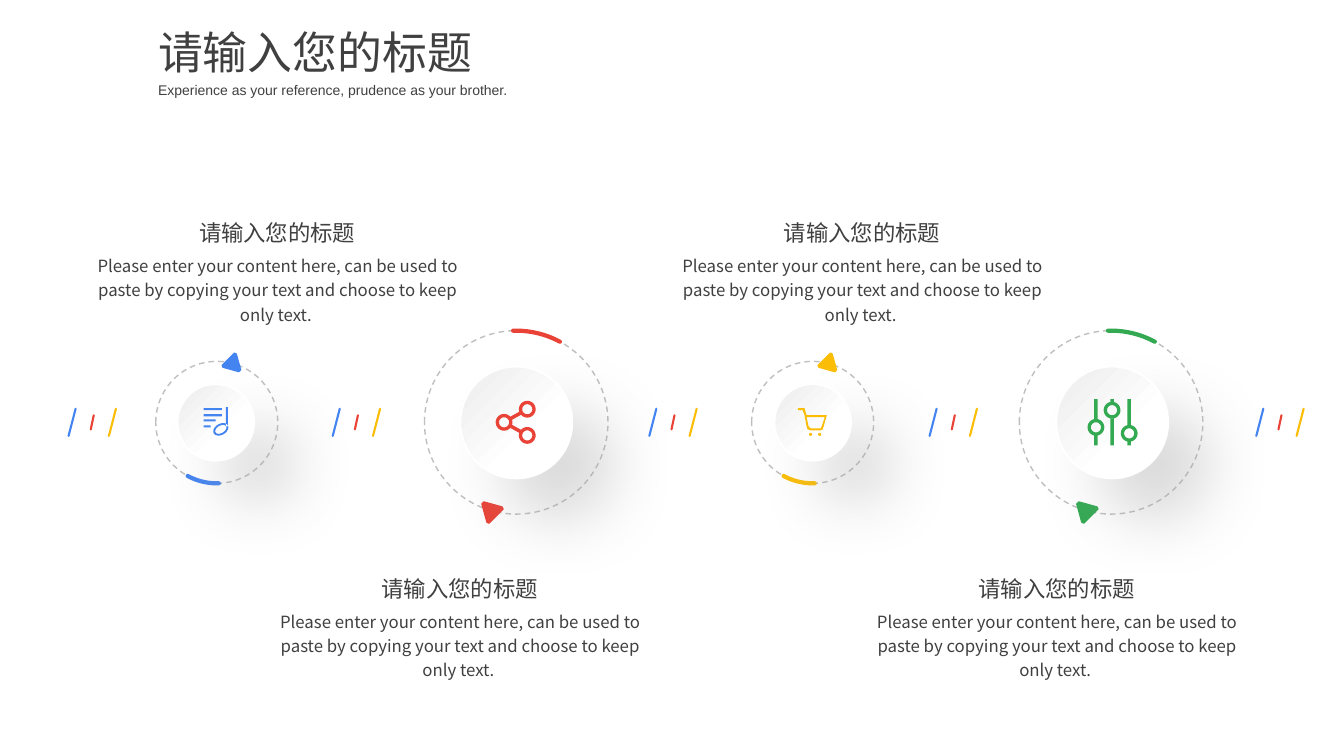
"""Builds a slide with four icon dials, each with a heading and a short text."""
from math import cos, pi, radians, sin

from pptx import Presentation
from pptx.dml.color import RGBColor
from pptx.enum.dml import MSO_LINE
from pptx.enum.shapes import MSO_CONNECTOR, MSO_SHAPE
from pptx.enum.text import MSO_AUTO_SIZE, PP_ALIGN
from pptx.oxml import parse_xml
from pptx.oxml.ns import qn
from pptx.util import Inches, Pt

OVAL, ARC = MSO_SHAPE.OVAL, MSO_SHAPE.ARC
STRAIGHT = MSO_CONNECTOR.STRAIGHT
DASH = MSO_LINE.DASH
LEFT, CENTER = PP_ALIGN.LEFT, PP_ALIGN.CENTER
FIT = MSO_AUTO_SIZE.SHAPE_TO_FIT_TEXT
NAMESPACE = 'xmlns:a="http://schemas.openxmlformats.org/drawingml/2006/main"'

BLUE, RED, YELLOW, GREEN = "4384F1", "E94236", "FBBD06", "33A952"
GRAY, TEXT_COLOR, WHITE = "BFBFBF", "404040", "FFFFFF"
HEADING = "请输入您的标题"
SUBTITLE = "Experience as your reference, prudence as your brother."
BODY = ("Please enter your content here, can be used to paste by copying "
        "your text and choose to keep only text. ")

MIDDLE = 4.19
TICK_LEFTS = [0.68, 3.3, 6.44, 9.22, 12.46]
TICKS = [(0, 0.07, 0.135, BLUE), (0.22, 0.25, 0.07, RED), (0.4, 0.47, 0.135, YELLOW)]
TEXT_PLACES = [(0.83, 2.13), (6.63, 2.13), (2.64, 5.66), (8.56, 5.66)]
POINTER = [(-0.08, -0.1), (0.1, -0.05), (0.11, -0.03), (-0.03, 0.11), (-0.05, 0.1), (-0.1, -0.08)]
SMALL = {"ring": 0.605, "knob": 0.38, "pointer": (0.15, -0.59), "scale": -0.87, "turn": 0}
LARGE = {"ring": 0.91, "knob": 0.555, "pointer": (-0.24, 0.89), "scale": 1, "turn": 180}


def ellipse(x, y, width, height, tilt=0):
    angles = [2 * pi * step / 40 for step in range(40)]
    slope = radians(tilt)
    return [(x + width * cos(a) * cos(slope) - height * sin(a) * sin(slope),
             y + width * cos(a) * sin(slope) + height * sin(a) * cos(slope)) for a in angles]


def hoop(x, y):
    return [ellipse(x, y, 0.083, 0.083), ellipse(x, y, 0.05, 0.05)[::-1]]


def bar(x1, y1, x2, y2, width):
    length = ((x2 - x1) ** 2 + (y2 - y1) ** 2) ** 0.5
    dx, dy = (y1 - y2) / length * width / 2, (x2 - x1) / length * width / 2
    return [(x1 + dx, y1 + dy), (x1 - dx, y1 - dy), (x2 - dx, y2 - dy), (x2 + dx, y2 + dy)]


def music_icon():
    rows = [(4.06, 2.2), (4.12, 2.2), (4.17, 2.14), (4.23, 2.09)]
    lines = [bar(2.02, y, right, y, 0.02) for y, right in rows]
    head = [ellipse(2.19, 4.26, 0.08, 0.055, -30), ellipse(2.19, 4.26, 0.06, 0.037, -30)[::-1]]
    return lines + head + [bar(2.25, 4.04, 2.25, 4.23, 0.02)]


def share_icon():
    links = [bar(5.07, 4.15, 5.16, 4.1, 0.035), bar(5.07, 4.23, 5.16, 4.28, 0.035)]
    return hoop(5.23, 4.06) + hoop(5, 4.19) + hoop(5.23, 4.32) + links


def cart_icon():
    frame = [(7.92, 4.05), (7.98, 4.05), (8, 4.12), (8.2, 4.12), (8.17, 4.23), (8.16, 4.26),
             (8.14, 4.27), (8.04, 4.27), (8.01, 4.26), (8, 4.23), (7.98, 4.12), (7.96, 4.07),
             (7.92, 4.07), (7.91, 4.06)]
    basket = [(8, 4.14), (8.02, 4.23), (8.04, 4.25), (8.14, 4.25), (8.15, 4.23), (8.18, 4.14)]
    return [frame, basket] + [ellipse(x, 4.31, 0.015, 0.015) for x in (8.04, 8.13)]


def slider_icon():
    contours = []
    for x, y in [(10.87, 4.24), (11.03, 4.07), (11.2, 4.3)]:
        contours += hoop(x, y)
        contours += [bar(x, 3.96, x, y - 0.08, 0.034), bar(x, y + 0.08, x, 4.42, 0.034)]
    return contours


DIALS = [(11.02, 11.03, GREEN, LARGE, slider_icon()), (8.06, 8.06, YELLOW, SMALL, cart_icon()),
         (5.12, 5.12, RED, LARGE, share_icon()), (2.15, 2.14, BLUE, SMALL, music_icon())]

presentation = Presentation()
presentation.slide_width, presentation.slide_height = Inches(13.33), Inches(7.5)
slide = presentation.slides.add_slide(presentation.slide_layouts[6])
shapes = slide.shapes


def rgb(color):
    return RGBColor.from_string(color)


def set_line(shape, color, width, dash=None):
    shape.line.color.rgb = rgb(color)
    shape.line.width = Pt(width)
    if dash:
        shape.line.dash_style = dash
    else:
        shape.line._get_or_add_ln().set("cap", "rnd")


def add_round(kind, x, radius, color, width, dash=None):
    shape = shapes.add_shape(kind, Inches(x - radius), Inches(MIDDLE - radius),
                             Inches(2 * radius), Inches(2 * radius))
    shape.shadow.inherit = False
    shape.fill.background()
    set_line(shape, color, width, dash)
    return shape


def add_outline(contours, color, line_width=0):
    points = [[(Inches(x), Inches(y)) for x, y in contour] for contour in contours]
    builder = shapes.build_freeform(*points[0][0], scale=1.0)
    for index, contour in enumerate(points):
        if index:
            builder.move_to(*contour[0])
        builder.add_line_segments(contour[1:], close=True)
    shape = builder.convert_to_shape()
    shape.shadow.inherit = False
    shape.fill.solid()
    shape.fill.fore_color.rgb = rgb(color)
    if line_width:
        set_line(shape, color, line_width)
    else:
        shape.line.fill.background()


def add_knob(x, radius):
    shape = add_round(OVAL, x, radius, WHITE, 1.5)
    properties = shape._element.spPr
    stops = "".join(f'<a:gs pos="{place}000"><a:srgbClr val="{color}"/></a:gs>'
                    for place, color in [(0, WHITE), (36, WHITE), (100, "ECECEC")])
    gradient = parse_xml(f'<a:gradFill {NAMESPACE} rotWithShape="1"><a:gsLst>{stops}</a:gsLst>'
                         f'<a:lin ang="{225 * 60000}" scaled="0"/></a:gradFill>')
    properties.replace(properties.find(qn("a:noFill")), gradient)
    properties.find(qn("a:effectLst")).append(parse_xml(
        f'<a:outerShdw {NAMESPACE} blurRad="{Pt(44)}" dist="{Pt(42)}" dir="{45 * 60000}" '
        'algn="tl" rotWithShape="0"><a:srgbClr val="A6A6A6"><a:alpha val="40000"/>'
        '</a:srgbClr></a:outerShdw>'))


def add_text(text, left, top, width, height, size, font="Arial", align=LEFT, spacing=None):
    frame = shapes.add_textbox(Inches(left), Inches(top), Inches(width), Inches(height)).text_frame
    frame.word_wrap = True
    frame.auto_size = FIT
    paragraph = frame.paragraphs[0]
    paragraph.alignment = align
    paragraph.line_spacing = spacing
    run = paragraph.add_run()
    run.text = text
    run.font.size, run.font.name = Pt(size), font
    run.font.color.rgb = rgb(TEXT_COLOR)


for ring_x, knob_x, color, dial, icon in DIALS:
    add_round(OVAL, ring_x, dial["ring"], GRAY, 1, DASH)
    offset_x, offset_y = dial["pointer"]
    add_outline([[(ring_x + offset_x + dial["scale"] * x, MIDDLE + offset_y + dial["scale"] * y)
                  for x, y in POINTER]], color, 1)
    arc = add_round(ARC, ring_x, dial["ring"], color, 3)
    arc.adjustments[0], arc.adjustments[1] = 52.83, 71.07
    arc.rotation = dial["turn"]

for ring_x, knob_x, color, dial, icon in DIALS:
    add_knob(knob_x, dial["knob"])
    add_outline(icon, color)

for left, top in TEXT_PLACES:
    add_text(BODY, left, top + 0.32, 3.85, 0.81, 12, "Noto Sans CJK SC", CENTER, 1.2)
    add_text(HEADING, left + 0.72, top, 2.4, 0.37, 16, align=CENTER)

for left in TICK_LEFTS:
    for bottom_x, top_x, reach, color in TICKS:
        tick = shapes.add_connector(STRAIGHT, Inches(left + top_x), Inches(MIDDLE - reach),
                                    Inches(left + bottom_x), Inches(MIDDLE + reach))
        set_line(tick, color, 1.5)
        tick._element.spPr.append(parse_xml(f"<a:effectLst {NAMESPACE}/>"))

add_text(HEADING, 1.47, 0.2, 3.45, 0.64, 32)
add_text(SUBTITLE, 1.47, 0.73, 4.34, 0.29, 10, spacing=1.2)

presentation.save("out.pptx")
